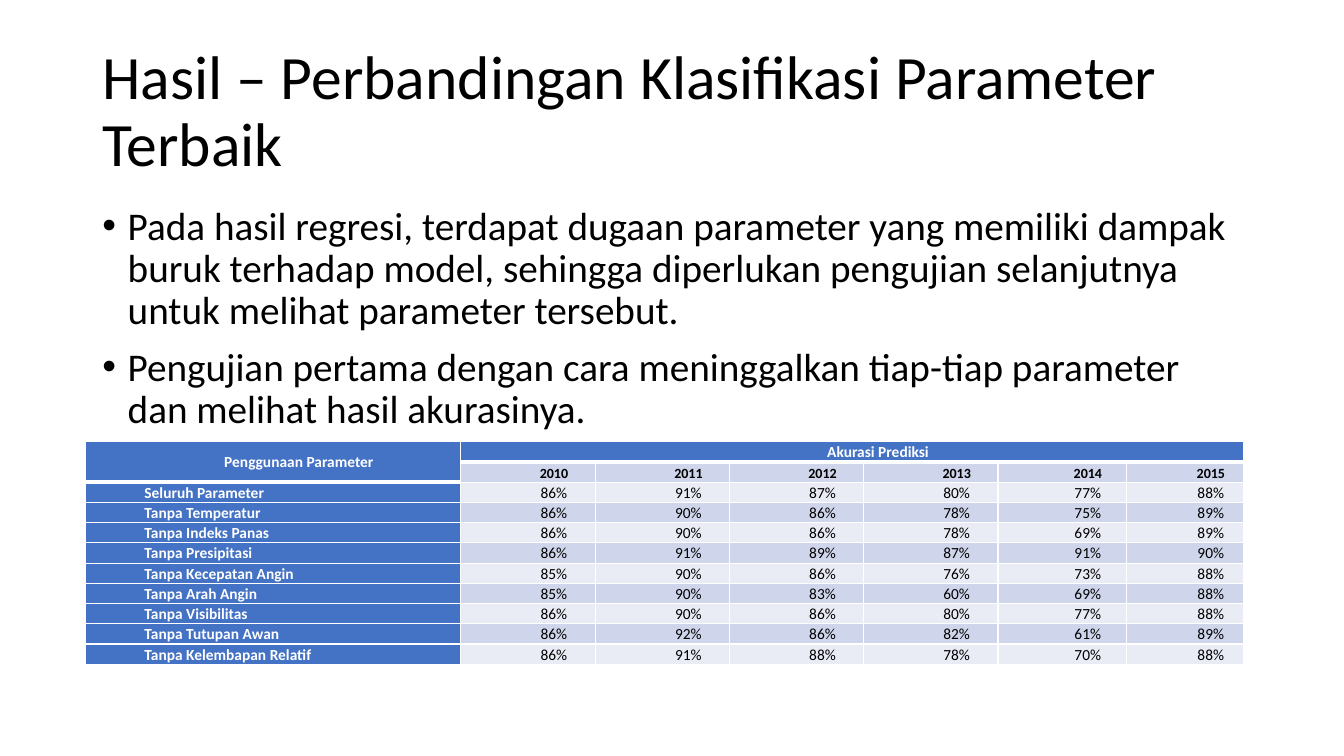
import dataclasses

import lxml.etree
import pptx
import pptx.dml.color
import pptx.enum.text
import pptx.oxml.ns
import pptx.util

Cm = pptx.util.Cm
Pt = pptx.util.Pt
qn = pptx.oxml.ns.qn
ALIGN = pptx.enum.text.PP_ALIGN
ANCHOR = pptx.enum.text.MSO_ANCHOR


@dataclasses.dataclass(frozen=True)
class Theme:
    font: str = "Calibri"
    text: str = "000000"
    inverse: str = "FFFFFF"
    header: str = "4472C4"
    bands: tuple = ("E9EBF5", "CFD5EA")
    title_size: int = 44
    body_size: int = 28
    cell_size: int = 11
    year_size: int = 10


THEME = Theme()

TITLE = "Hasil – Perbandingan Klasifikasi Parameter Terbaik"
BULLETS = [
    "Pada hasil regresi, terdapat dugaan parameter yang memiliki dampak buruk "
    "terhadap model, sehingga diperlukan pengujian selanjutnya untuk melihat "
    "parameter tersebut.",
    "Pengujian pertama dengan cara meninggalkan tiap-tiap parameter dan melihat "
    "hasil akurasinya.",
]
YEARS = range(2010, 2016)
ACCURACY = {
    "Seluruh Parameter": (86, 91, 87, 80, 77, 88),
    "Tanpa Temperatur": (86, 90, 86, 78, 75, 89),
    "Tanpa Indeks Panas": (86, 90, 86, 78, 69, 89),
    "Tanpa Presipitasi": (86, 91, 89, 87, 91, 90),
    "Tanpa Kecepatan Angin": (85, 90, 86, 76, 73, 88),
    "Tanpa Arah Angin": (85, 90, 83, 60, 69, 88),
    "Tanpa Visibilitas": (86, 90, 86, 80, 77, 88),
    "Tanpa Tutupan Awan": (86, 92, 86, 82, 61, 89),
    "Tanpa Kelembapan Relatif": (86, 91, 88, 78, 70, 88),
}
MIDDLE_ROWS = {
    "Tanpa Kecepatan Angin",
    "Tanpa Visibilitas",
    "Tanpa Tutupan Awan",
    "Tanpa Kelembapan Relatif",
}
COLUMN_WIDTHS = (9.45, 3.4, 3.38, 3.38, 3.38, 3.23, 2.97)
ROW_HEIGHT = 0.51


def rgb(color):
    return pptx.dml.color.RGBColor.from_string(color)


def add_run(p, text, size, color=THEME.text, bold=False):
    r = p.add_run()
    r.text = text
    r.font.name = THEME.font
    r.font.size = Pt(size)
    r.font.bold = bold
    r.font.color.rgb = rgb(color)


def set_indent(p, left, first):
    pPr = p._p.get_or_add_pPr()
    pPr.set("marL", str(Cm(left)))
    pPr.set("indent", str(Cm(first)))
    return pPr


def add_text_frame(s, left, top, width, height, anchor):
    sp = s.shapes.add_textbox(Cm(left), Cm(top), Cm(width), Cm(height))
    tf = sp.text_frame
    tf.word_wrap = True
    tf.vertical_anchor = anchor
    return tf


def add_title(s):
    tf = add_text_frame(s, 2.33, 1.01, 29.21, 3.68, ANCHOR.MIDDLE)
    p = tf.paragraphs[0]
    p.line_spacing = 0.9
    add_run(p, TITLE, THEME.title_size)


def add_bullets(s):
    tf = add_text_frame(s, 2.33, 5.07, 29.21, 12.09, ANCHOR.TOP)
    for i, text in enumerate(BULLETS):
        p = tf.add_paragraph() if i else tf.paragraphs[0]
        p.line_spacing = 0.9
        p.space_before = Pt(10)
        pPr = set_indent(p, 0.64, -0.64)
        lxml.etree.SubElement(pPr, qn("a:buFont"), typeface="Arial")
        lxml.etree.SubElement(pPr, qn("a:buChar"), char="•")
        add_run(p, text, THEME.body_size)


def set_borders(cell, bottom):
    tcPr = cell._tc.get_or_add_tcPr()
    for side, width in (("L", 1), ("R", 1), ("T", 1), ("B", bottom)):
        ln = lxml.etree.SubElement(tcPr, qn(f"a:ln{side}"), w=str(Pt(width)))
        fill = lxml.etree.SubElement(ln, qn("a:solidFill"))
        lxml.etree.SubElement(fill, qn("a:srgbClr"), val=THEME.inverse)


def style_cell(cell, fill, anchor=ANCHOR.BOTTOM, bottom=1):
    set_borders(cell, bottom)
    cell.fill.solid()
    cell.fill.fore_color.rgb = rgb(fill)
    cell.vertical_anchor = anchor
    cell.margin_left = cell.margin_right = Cm(0.18)
    cell.margin_top = cell.margin_bottom = 0


def write_cell(cell, text, size=THEME.cell_size, color=THEME.text, bold=False,
               align=ALIGN.CENTER):
    p = cell.text_frame.paragraphs[0]
    p.alignment = align
    p.line_spacing = 1.07
    set_indent(p, 0, 1.3)
    add_run(p, text, size, color, bold)


def fill_header(table):
    last = len(COLUMN_WIDTHS) - 1
    for col in range(last + 1):
        style_cell(table.cell(0, col), THEME.header,
                   ANCHOR.BOTTOM if col else ANCHOR.MIDDLE, bottom=3)
    style_cell(table.cell(1, 0), THEME.header, bottom=3)
    table.cell(0, 0).merge(table.cell(1, 0))
    table.cell(0, 1).merge(table.cell(0, last))
    for col, text in enumerate(("Penggunaan Parameter", "Akurasi Prediksi")):
        write_cell(table.cell(0, col), text, color=THEME.inverse, bold=True)
    for col, year in enumerate(YEARS, 1):
        cell = table.cell(1, col)
        style_cell(cell, THEME.bands[1])
        write_cell(cell, str(year), THEME.year_size, bold=True)


def fill_accuracy(table):
    for row, (name, values) in enumerate(ACCURACY.items(), 2):
        label = table.cell(row, 0)
        style_cell(label, THEME.header)
        write_cell(label, name, color=THEME.inverse, bold=True, align=ALIGN.LEFT)
        anchor = ANCHOR.MIDDLE if name in MIDDLE_ROWS else ANCHOR.BOTTOM
        for col, value in enumerate(values, 1):
            cell = table.cell(row, col)
            style_cell(cell, THEME.bands[row % 2], anchor)
            write_cell(cell, f"{value}%")


def add_accuracy_table(s):
    rows = len(ACCURACY) + 2
    table = s.shapes.add_table(
        rows, len(COLUMN_WIDTHS), Cm(2.16), Cm(11.13),
        Cm(sum(COLUMN_WIDTHS)), Cm(rows * ROW_HEIGHT)).table
    table.first_row = table.horz_banding = False
    for column, width in zip(table.columns, COLUMN_WIDTHS):
        column.width = Cm(width)
    for row in table.rows:
        row.height = Cm(ROW_HEIGHT)
    fill_header(table)
    fill_accuracy(table)


def main():
    prs = pptx.Presentation()
    prs.slide_width = Cm(33.87)
    prs.slide_height = Cm(19.05)
    s = prs.slides.add_slide(prs.slide_layouts[6])
    add_title(s)
    add_bullets(s)
    add_accuracy_table(s)
    prs.save("out.pptx")


if __name__ == "__main__":
    main()
